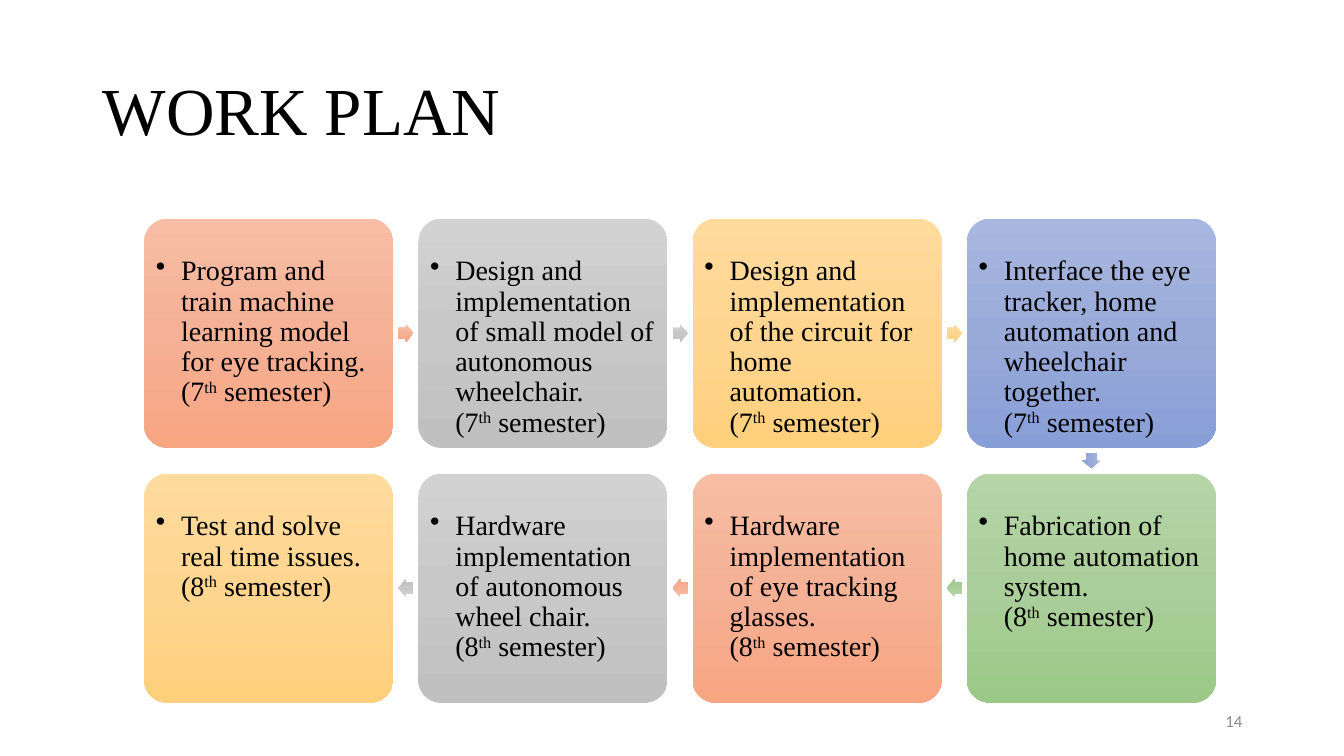
from copy import deepcopy

from lxml.etree import SubElement
from pptx import Presentation
from pptx.dml.color import RGBColor
from pptx.enum.shapes import MSO_SHAPE as Preset
from pptx.enum.text import MSO_ANCHOR as Anchor, MSO_AUTO_SIZE as AutoSize, PP_ALIGN as Align
from pptx.oxml.ns import qn
from pptx.util import Inches, Pt

BLACK = RGBColor(0x00, 0x00, 0x00)
GREY_TEXT = RGBColor(0x8C, 0x8C, 0x8C)


def shades(*codes):
    return [RGBColor.from_string(code) for code in codes]


ORANGE = shades("F7BDA5", "F5B196", "F8A582")
GREY = shades("D2D2D2", "C8C8C8", "C0C0C0")
GOLD = shades("FFDB9E", "FFD590", "FFD07C")
BLUE = shades("A8B7DF", "9AABD9", "889ED7")
GREEN = shades("B5D5A7", "AACE9A", "9CC987")

TITLE = "WORK PLAN"
PAGE_NUMBER = "14"
# Task, semester, shades: along the first row, then back along the second
STEPS = [
    ("Program and train machine learning model for eye tracking.", 7, ORANGE),
    ("Design and implementation of small model of autonomous wheelchair.", 7, GREY),
    ("Design and implementation of the circuit for home automation.", 7, GOLD),
    ("Interface the eye tracker, home automation and wheelchair together.", 7, BLUE),
    ("Fabrication of home automation system.", 8, GREEN),
    ("Hardware implementation of eye tracking glasses.", 8, ORANGE),
    ("Hardware implementation of autonomous wheel chair.", 8, GREY),
    ("Test and solve real time issues.", 8, GOLD),
]

COLUMNS = 4
GRID_LEFT, GRID_TOP = 1.43, 2.17
CARD_WIDTH, CARD_HEIGHT = 2.47, 2.27
COLUMN_STEP, ROW_STEP = 2.72, 2.53
ARROW_LENGTH, ARROW_WIDTH = 0.15, 0.18
ROTATIONS = {(1, 0): 0, (0, 1): 90, (-1, 0): 180}


def add_text(paragraph, text, size=20, font="Times New Roman", color=BLACK, superscript=False):
    run = paragraph.add_run()
    run.text = text
    run.font.size = Pt(size)
    run.font.name = font
    run.font.color.rgb = color
    if superscript:
        run.font._element.set("baseline", "30000")


def set_margins(frame, side, top):
    frame.margin_left = frame.margin_right = frame.margin_bottom = Inches(side)
    frame.margin_top = Inches(top)


def add_gradient_shape(slide, preset, center, size, colors, adjustments):
    left, top = (middle - length / 2 for middle, length in zip(center, size))
    shape = slide.shapes.add_shape(
        preset, Inches(left), Inches(top), Inches(size[0]), Inches(size[1]))
    for index, value in enumerate(adjustments):
        shape.adjustments[index] = value
    shape.shadow.inherit = False
    shape.line.fill.background()
    shape.fill.gradient()
    shape.fill.gradient_angle = 270
    stop_list = shape._element.spPr.find(qn("a:gradFill")).find(qn("a:gsLst"))
    stop_list.insert(1, deepcopy(stop_list[0]))
    for index, (stop, color) in enumerate(zip(shape.fill.gradient_stops, colors)):
        stop.color.rgb = color
        stop.position = index / 2
    return shape


def add_bullet(paragraph, indent):
    properties = paragraph._p.get_or_add_pPr()
    properties.set("marL", str(Inches(indent)))
    properties.set("indent", str(-Inches(indent)))
    SubElement(properties, qn("a:buChar")).set("char", "•")


def add_card(slide, center, task, semester, colors):
    card = add_gradient_shape(
        slide, Preset.ROUNDED_RECTANGLE, center, (CARD_WIDTH, CARD_HEIGHT), colors, [0.1])
    frame = card.text_frame
    frame.word_wrap = True
    frame.vertical_anchor = Anchor.TOP
    set_margins(frame, 0.05, 0.31)
    paragraph = frame.paragraphs[0]
    add_bullet(paragraph, 0.25)
    paragraph.level = 1
    paragraph.alignment = Align.LEFT
    paragraph.line_spacing = 0.9
    add_text(paragraph, task)
    paragraph.add_line_break()
    add_text(paragraph, f"({semester}")
    add_text(paragraph, "th", superscript=True)
    add_text(paragraph, " semester)")


def add_arrow(slide, start_cell, end_cell, colors):
    """Point from one card to the next, in the middle of the gap between them."""
    start, end = card_center(start_cell), card_center(end_cell)
    center = [(a + b) / 2 for a, b in zip(start, end)]
    arrow = add_gradient_shape(
        slide, Preset.RIGHT_ARROW, center, (ARROW_LENGTH, ARROW_WIDTH), colors, [0.6, 0.5])
    arrow.rotation = ROTATIONS[end_cell[0] - start_cell[0], end_cell[1] - start_cell[1]]


def step_cell(index):
    """Column and row of a step on the path that turns back at the right."""
    row, column = divmod(index, COLUMNS)
    return (COLUMNS - 1 - column if row else column), row


def card_center(cell):
    column, row = cell
    return (GRID_LEFT + column * COLUMN_STEP + CARD_WIDTH / 2,
            GRID_TOP + row * ROW_STEP + CARD_HEIGHT / 2)


def add_title(slide):
    title = slide.shapes.title
    title.left, title.top = Inches(0.92), Inches(0.4)
    title.width, title.height = Inches(11.5), Inches(1.45)
    frame = title.text_frame
    frame.auto_size = AutoSize.NONE
    frame.vertical_anchor = Anchor.MIDDLE
    paragraph = frame.paragraphs[0]
    paragraph.alignment = Align.LEFT
    paragraph.line_spacing = 0.9
    add_text(paragraph, TITLE, size=48)


def add_page_number(slide):
    box = slide.shapes.add_textbox(Inches(9.42), Inches(6.95), Inches(3), Inches(0.4))
    frame = box.text_frame
    frame.word_wrap = True
    frame.vertical_anchor = Anchor.MIDDLE
    paragraph = frame.paragraphs[0]
    paragraph.alignment = Align.RIGHT
    add_text(paragraph, PAGE_NUMBER, size=12, font="Calibri", color=GREY_TEXT)


def main():
    presentation = Presentation()
    presentation.slide_width, presentation.slide_height = Inches(13.33), Inches(7.5)
    slide = presentation.slides.add_slide(presentation.slide_layouts[5])
    add_title(slide)
    for index, (task, semester, colors) in enumerate(STEPS):
        cell = step_cell(index)
        add_card(slide, card_center(cell), task, semester, colors)
        if index + 1 < len(STEPS):
            add_arrow(slide, cell, step_cell(index + 1), colors)
    add_page_number(slide)
    presentation.save("out.pptx")


if __name__ == "__main__":
    main()
